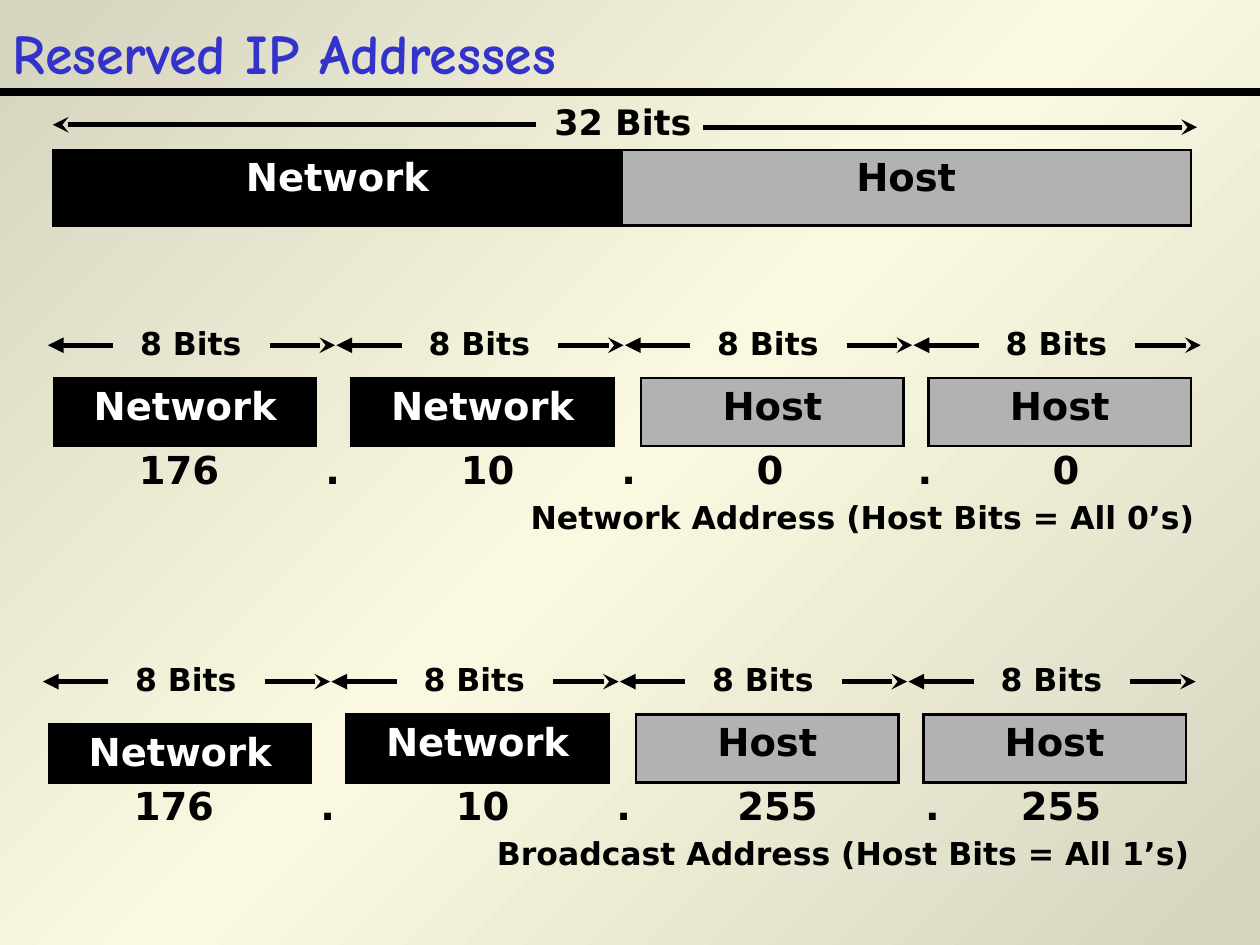
from copy import deepcopy

from lxml.etree import SubElement
from pptx import Presentation
from pptx.dml.color import RGBColor
from pptx.enum.shapes import MSO_CONNECTOR as Link
from pptx.enum.text import MSO_ANCHOR as Anchor, PP_ALIGN as Align
from pptx.oxml.ns import qn
from pptx.util import Inches, Pt

# The page is a grid of 10 columns by 7.5 rows, one inch each.
COLUMNS, ROWS = 10, 7.5
BLACK, WHITE, GREY, BLUE = "000000", "FFFFFF", "B2B2B2", "3333CC"
EDGE, CENTRE = "D5D4BF", "FAF8E0"
FILLS = {"Network": (BLACK, WHITE), "Host": (GREY, BLACK)}

FIELDS = [("Network", 0.43), ("Network", 2.79), ("Host", 5.09), ("Host", 7.37)]
FIELD_WIDTH, BAR_WIDTH = 2.08, 9.03
OCTET_LEFT, OCTET_PITCH = 0.38, 2.29


def colour(value):
    return RGBColor.from_string(value)


def grid(*lengths):
    return [Inches(length) for length in lengths]


def set_text(frame, text, size, tint=BLACK, face="DejaVu Sans",
             align=Align.CENTER, stops=()):
    para = frame.paragraphs[0]
    para.alignment = align
    if stops:
        tabs = SubElement(para._p.get_or_add_pPr(), qn("a:tabLst"))
        for stop in stops:
            SubElement(tabs, qn("a:tab"), pos=str(Inches(stop)), algn="ctr")
    span = para.add_run()
    span.text = text
    for name, value in {"name": face, "size": Pt(size), "bold": True}.items():
        setattr(span.font, name, value)
    span.font.color.rgb = colour(tint)


def add_label(shapes, place, text, size, **style):
    frame = shapes.add_textbox(*grid(*place)).text_frame
    frame.word_wrap = True
    set_text(frame, text, size, **style)
    return frame


def add_line(shapes, left, right, y, head=None, tail=None):
    line = shapes.add_connector(Link.STRAIGHT, *grid(left, y, right, y))
    line.line.color.rgb = colour(BLACK)
    line.line.width = Pt(3)
    outline = line.line._get_or_add_ln()
    for tag, kind in (("a:headEnd", head), ("a:tailEnd", tail)):
        if kind:
            SubElement(outline, qn(tag), type=kind)
    SubElement(line._element.spPr, qn("a:effectLst"))


def set_borders(cell, width):
    properties = cell._tc.get_or_add_tcPr()
    for side in "LRTB":
        edge = SubElement(properties, qn("a:ln" + side), w=str(Pt(width)))
        if width:
            fill = SubElement(edge, qn("a:solidFill"))
            SubElement(fill, qn("a:srgbClr"), val=BLACK)
        else:
            SubElement(edge, qn("a:noFill"))


def add_row(page, place, count=1):
    table = page.shapes.add_table(1, count, *grid(*place)).table
    table.first_row = table.horz_banding = False
    return [table.cell(0, index) for index in range(count)]


def add_fields(page, place, *labels):
    for cell, label in zip(add_row(page, place, len(labels)), labels):
        fill, tint = FILLS[label]
        set_borders(cell, 1.47)
        cell.fill.solid()
        cell.fill.fore_color.rgb = colour(fill)
        set_text(cell.text_frame, label, 22, tint)


def add_plain_row(page, place, text, size, **style):
    cell, = add_row(page, place)
    set_borders(cell, 0)
    cell.fill.background()
    set_text(cell.text_frame, text, size, **style)
    return cell


def add_octet_span(page, left, y):
    shapes = page.shapes.add_group_shape().shapes
    add_line(shapes, left + 1.76, left + 2.28, y, tail="stealth")
    add_line(shapes, left, left + 0.52, y, head="triangle")
    add_label(shapes, (left + 0.47, y - 0.22, 1.33, 0.4), "8 Bits", 18)


def add_address(page, x, y, octets, caption, first_drop=0, nudge=0):
    """One address: octet spans, fields, dotted numbers and a caption."""
    for index in range(len(FIELDS)):
        add_octet_span(page, x + OCTET_LEFT + index * OCTET_PITCH, y)
    for index, (label, left) in enumerate(FIELDS):
        drop = 0 if index else first_drop
        place = x + left, y + 0.26 + drop, FIELD_WIDTH, 0.54 - drop
        add_fields(page, place, label)
    stops = [0.95, 2.17, 3.4, 4.52, 5.64 + nudge, 6.87 + nudge, 7.99]
    add_plain_row(page, (x + 0.37, y + 0.77, BAR_WIDTH, 0.6),
                  "\t" + "\t.\t".join(octets), 22,
                  align=Align.LEFT, stops=stops)
    cell = add_plain_row(page, (x + 0.55, y + 1.13, BAR_WIDTH, 0.47),
                         caption, 18, align=Align.RIGHT)
    cell.margin_top = Inches(0.1)


def paint_background(page):
    fill = page.background.fill
    fill.gradient()
    fill.gradient_angle = 135
    last = fill.gradient_stops[1]._gs
    last.addprevious(deepcopy(last))
    shades = ((0, EDGE), (0.5, CENTRE), (1, EDGE))
    for stop, (position, shade) in zip(fill.gradient_stops, shades):
        stop.position = position
        stop.color.rgb = colour(shade)


def main():
    deck = Presentation()
    deck.slide_width, deck.slide_height = grid(COLUMNS, ROWS)
    page = deck.slides.add_slide(deck.slide_layouts[6])
    paint_background(page)

    # Title over a double rule
    title = add_label(page.shapes, (0, 0.08, 8.5, 0.67),
                      "Reserved IP Addresses", 32, tint=BLUE,
                      face="Comic Neue", align=Align.LEFT)
    title.vertical_anchor = Anchor.MIDDLE
    for y in (0.72, 0.74):
        add_line(page.shapes, 0, COLUMNS, y)

    # Whole address
    add_line(page.shapes, 0.42, 4.25, 0.99, head="stealth")
    add_line(page.shapes, 5.58, 9.5, 1.01, tail="stealth")
    add_label(page.shapes, (4.28, 0.75, 1.33, 0.44), "32 Bits", 20)
    add_fields(page, (0.42, 1.19, BAR_WIDTH, 0.6), "Network", "Host")

    # Network and broadcast addresses
    add_address(page, 0, 2.74, ["176", "10", "0", "0"],
                "Network Address (Host Bits = All 0’s)")
    add_address(page, -0.04, 5.41, ["176", "10", "255", "255"],
                "Broadcast Address (Host Bits = All 1’s)",
                first_drop=0.08, nudge=0.1)

    deck.save("out.pptx")


if __name__ == "__main__":
    main()
